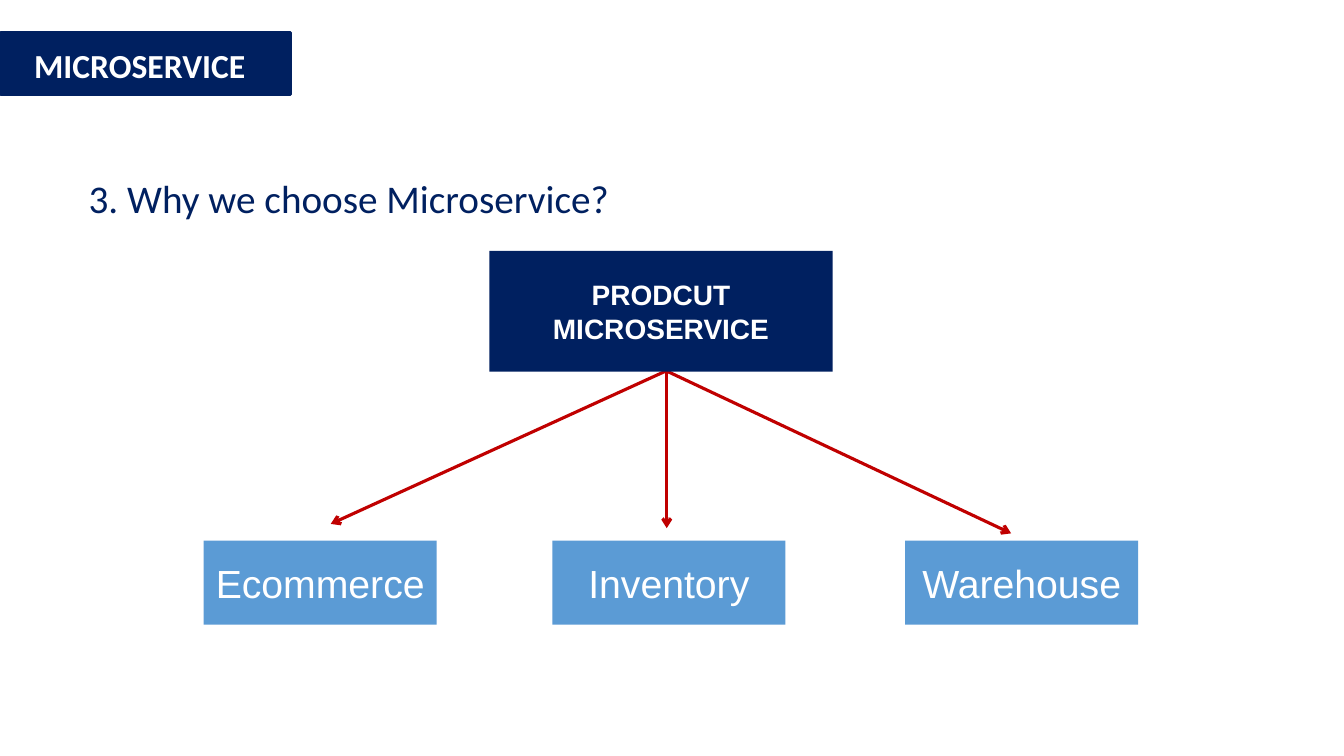
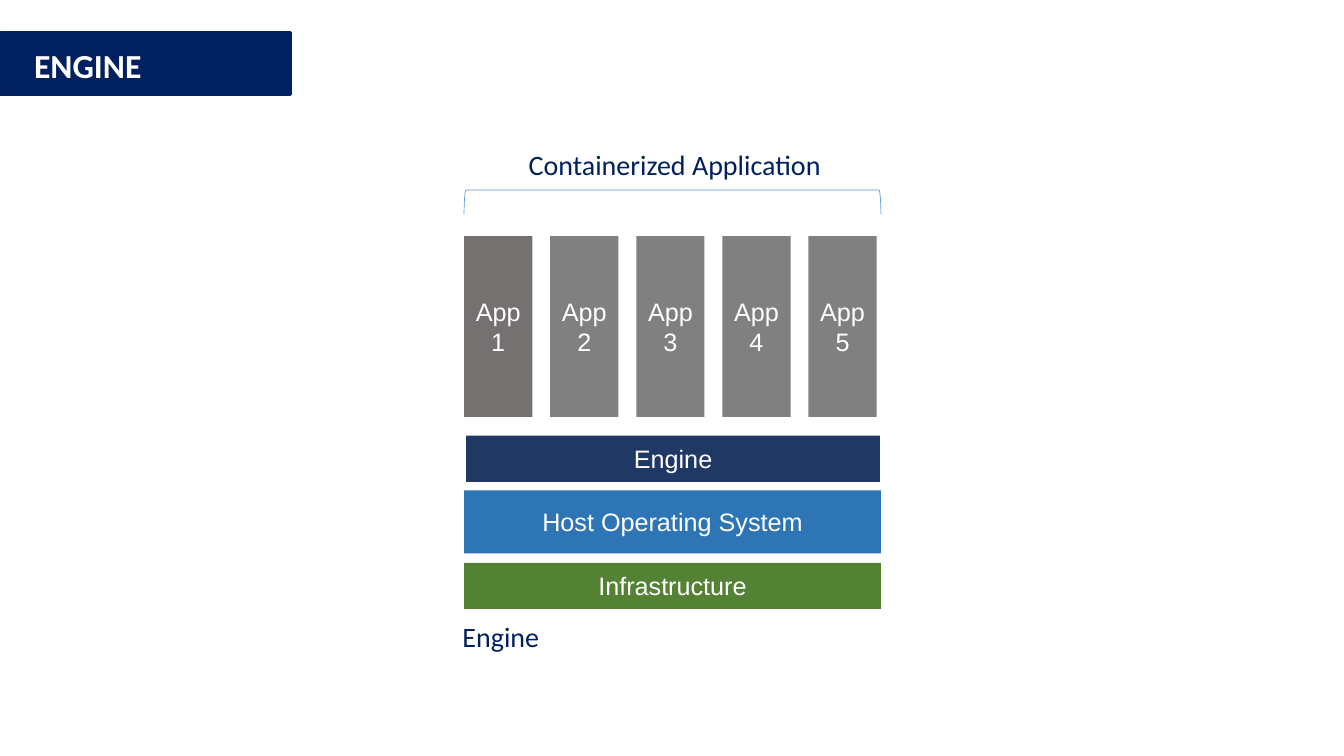
"""Build two slides: a microservice fan-out and a container stack."""
from lxml import etree
from pptx import Presentation
from pptx.dml.color import RGBColor
from pptx.enum.shapes import MSO_CONNECTOR as CONN, MSO_SHAPE as SHAPE
from pptx.enum.text import MSO_ANCHOR as ANCHOR, PP_ALIGN as ALIGN
from pptx.oxml.ns import qn
from pptx.util import Emu, Pt

PX = 9525
NAVY, WHITE, RED, SKY = "002060", "FFFFFF", "C00000", "5B9BD5"

BAND = (1, 31, 276, 59)
TITLE = (23, 38, 250, 48)

HEADING = ("3. Why we choose Microservice?", (75, 139, 706, 78))
ROOT = ("PRODCUT\nMICROSERVICE", (466, 239, 327, 115))
CONSUMERS = [("Ecommerce", 194), ("Inventory", 526), ("Warehouse", 862)]
CONSUMER_TOP, CONSUMER_W, CONSUMER_H = 515, 222, 80
ARROWS = [(635, 353, 315, 499), (632, 352, 963, 508), (635, 352, 635, 503)]

LAYERS = [
    ("Infrastructure", (442, 536, 397, 44), "548235"),
    ("Host Operating System", (442, 467, 397, 60), "2E75B6"),
    ("Engine", (444, 415, 394, 44), "203864"),
]
APP_COLORS = ["767171"] + ["808080"] * 4
APP_LEFT, APP_TOP, APP_W, APP_H, APP_STEP = 442, 225, 65, 172, 82
BRACKET = (629, -6, 23, 397)
CAPTIONS = [
    ("Containerized Application", (494, 120, 303, 58)),
    ("Engine", (431, 569, 100, 58)),
]


def px(*values):
    return [Emu(v * PX) for v in values]


def rgb(color):
    return RGBColor.from_string(color)


def write(sp, text, size, font, color, bold=False, align=ALIGN.LEFT, spacing=None):
    tf = sp.text_frame
    tf.word_wrap = True
    tf.text = text
    for p in tf.paragraphs:
        p.alignment = align
        p.line_spacing = spacing
        for r in p.runs:
            r.font.size = Pt(size)
            r.font.name = font
            r.font.bold = bold
            r.font.color.rgb = rgb(color)


def add_label(s, text, at, size, color=NAVY, bold=False, spacing=1.5):
    sp = s.shapes.add_textbox(*px(*at))
    write(sp, text, size, "Calibri", color, bold, spacing=spacing)


def add_outline(sp, color, width):
    sp.line.color.rgb = rgb(color)
    sp.line.width = Pt(width)


def add_box(s, at, fill, text="", size=18, bold=False):
    sp = s.shapes.add_shape(SHAPE.RECTANGLE, *px(*at))
    sp.shadow.inherit = False
    sp.fill.solid()
    sp.fill.fore_color.rgb = rgb(fill)
    sp.line.fill.background()
    if text:
        sp.text_frame.vertical_anchor = ANCHOR.MIDDLE
        write(sp, text, size, "Arial", WHITE, bold, ALIGN.CENTER)
    return sp


def add_arrow(s, ends):
    line = s.shapes.add_connector(CONN.STRAIGHT, *px(*ends))
    add_outline(line, RED, 2.25)
    etree.SubElement(line.get_or_add_ln(), qn("a:tailEnd"), type="arrow")
    etree.SubElement(line._element.spPr, qn("a:effectLst"))


def add_bracket(s, at):
    sp = s.shapes.add_shape(SHAPE.RIGHT_BRACKET, *px(*at))
    sp.shadow.inherit = False
    sp.rotation = 270
    sp.fill.background()
    add_outline(sp, SKY, 0.5)


def add_slide(prs, title):
    s = prs.slides.add_slide(prs.slide_layouts[6])
    add_outline(add_box(s, BAND, NAVY), NAVY, 2.25)
    add_label(s, title, TITLE, 24, WHITE, True, None)
    return s


def build_microservice(prs):
    s = add_slide(prs, "MICROSERVICE")
    for name, left in CONSUMERS:
        add_box(s, (left, CONSUMER_TOP, CONSUMER_W, CONSUMER_H), SKY, name, 28)
    for ends in ARROWS:
        add_arrow(s, ends)
    add_label(s, *HEADING, 28)
    text, at = ROOT
    add_box(s, at, NAVY, text, 20, True)


def build_engine(prs):
    s = add_slide(prs, "ENGINE")
    for text, at, fill in LAYERS:
        add_box(s, at, fill, text)
    for i, fill in enumerate(APP_COLORS):
        at = (APP_LEFT + i * APP_STEP, APP_TOP, APP_W, APP_H)
        add_box(s, at, fill, f"App{i + 1}")
    add_bracket(s, BRACKET)
    for text, at in CAPTIONS:
        add_label(s, text, at, 20)


def main():
    prs = Presentation()
    prs.slide_width, prs.slide_height = px(1280, 720)
    build_microservice(prs)
    build_engine(prs)
    prs.save("out.pptx")


if __name__ == "__main__":
    main()
